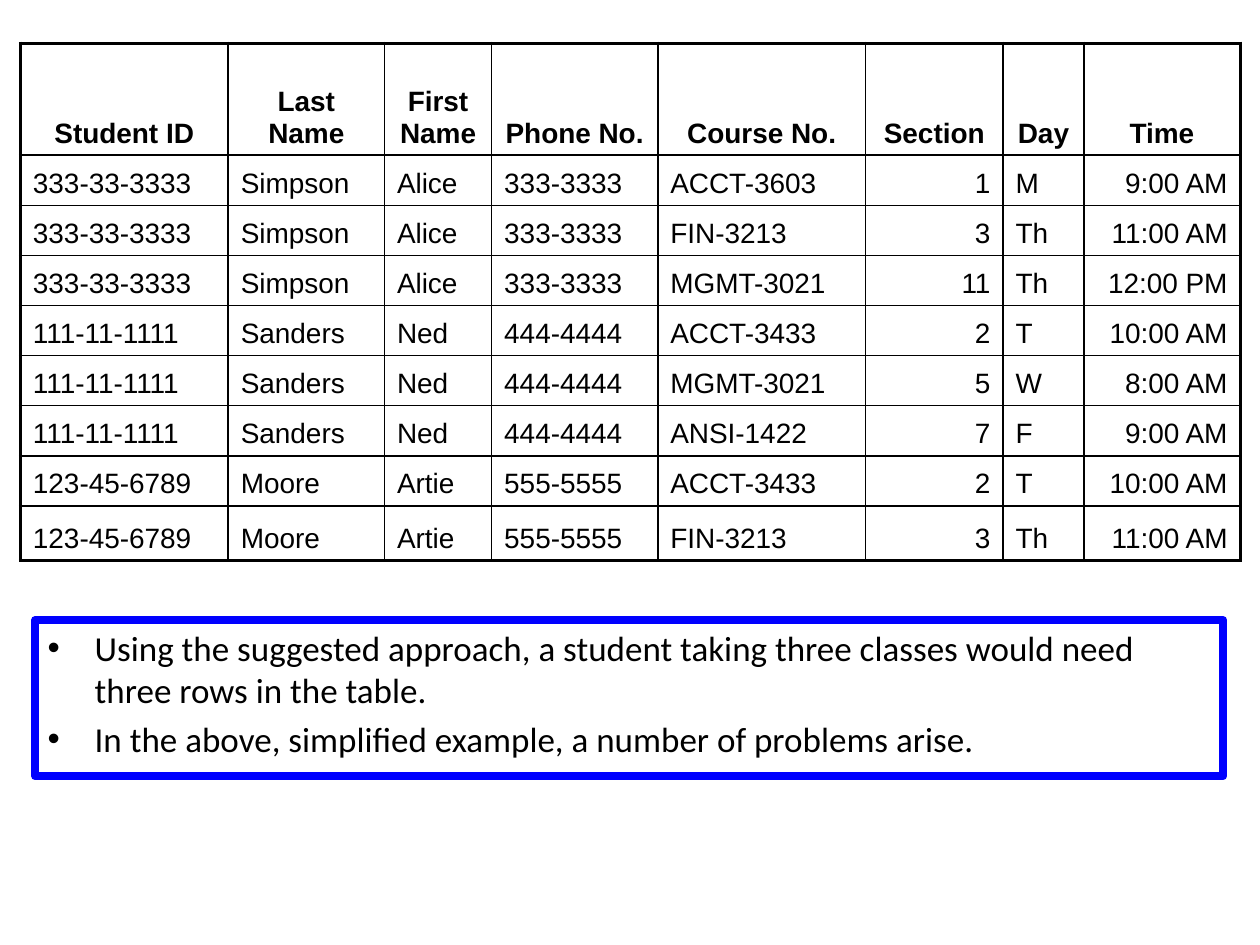
import dataclasses

import lxml.etree
import pptx
import pptx.dml.color
import pptx.enum.shapes
import pptx.enum.text
import pptx.oxml.ns
import pptx.util

Cm, Pt = pptx.util.Cm, pptx.util.Pt
ALIGN = pptx.enum.text.PP_ALIGN
qn = pptx.oxml.ns.qn


@dataclasses.dataclass(frozen=True)
class Theme:
    """Colours, fonts and sizes of the slide."""
    ink: str = "000000"
    paper: str = "FFFFFF"
    frame: str = "0000FF"
    table_font: str = "Arial"
    remark_font: str = "Calibri"
    table_size: float = 16
    remark_size: float = 20
    grid_width: float = 1
    border_width: float = 2
    frame_width: float = 4.5
    remark_gap: float = 4


THEME = Theme()
HEADINGS = ["Student ID", "Last Name", "First Name", "Phone No.",
            "Course No.", "Section", "Day", "Time"]
ENROLMENTS = {
    ("333-33-3333", "Simpson", "Alice", "333-3333"): [
        ("ACCT-3603", "1", "M", "9:00 AM"),
        ("FIN-3213", "3", "Th", "11:00 AM"),
        ("MGMT-3021", "11", "Th", "12:00 PM"),
    ],
    ("111-11-1111", "Sanders", "Ned", "444-4444"): [
        ("ACCT-3433", "2", "T", "10:00 AM"),
        ("MGMT-3021", "5", "W", "8:00 AM"),
        ("ANSI-1422", "7", "F", "9:00 AM"),
    ],
    ("123-45-6789", "Moore", "Artie", "555-5555"): [
        ("ACCT-3433", "2", "T", "10:00 AM"),
        ("FIN-3213", "3", "Th", "11:00 AM"),
    ],
}
RIGHT_ALIGNED = {"Section", "Time"}
COLUMN_WIDTHS = [4.19, 3.15, 2.16, 3.35, 4.19, 2.77, 1.63, 3.15]
HEADING_HEIGHT, ROW_HEIGHT, LAST_HEIGHT = 2.26, 1.01, 1.1
REMARKS = [
    "Using the suggested approach, a student taking three classes would need "
    "three rows in the table.",
    "In the above, simplified example, a number of problems arise.",
]


def rgb(colour):
    """Return the colour object of a hex value."""
    return pptx.dml.color.RGBColor.from_string(colour)


def format_font(font, formats):
    """Set font attributes from a dict, with ink as the colour."""
    for attribute, value in formats.items():
        setattr(font, attribute, value)
    font.color.rgb = rgb(THEME.ink)


def add_borders(cell, widths):
    """Draw the left, right, top and bottom borders of a cell."""
    properties = cell._tc.get_or_add_tcPr()
    for position, (side, width) in enumerate(widths.items()):
        border = lxml.etree.Element(qn(f"a:ln{side}"), w=str(Pt(width)))
        fill = lxml.etree.SubElement(border, qn("a:solidFill"))
        lxml.etree.SubElement(fill, qn("a:srgbClr"), val=THEME.ink)
        properties.insert(position, border)


def add_bullet(paragraph, indent):
    """Give a paragraph a hanging bullet."""
    properties = paragraph._p.get_or_add_pPr()
    properties.set("marL", str(indent))
    properties.set("indent", str(-indent))
    colour = lxml.etree.SubElement(properties, qn("a:buClr"))
    lxml.etree.SubElement(colour, qn("a:srgbClr"), val=THEME.ink)
    lxml.etree.SubElement(properties, qn("a:buFont"), typeface="Arial")
    lxml.etree.SubElement(properties, qn("a:buChar"), char="•")


def add_enrolment_table(slide, left, top):
    """Place the table with one row for each class a student takes."""
    rows = [HEADINGS] + [student + course
                         for student, courses in ENROLMENTS.items()
                         for course in courses]
    heights = [HEADING_HEIGHT] + [ROW_HEIGHT] * (len(rows) - 2) + [LAST_HEIGHT]
    table = slide.shapes.add_table(
        len(rows), len(HEADINGS), Cm(left), Cm(top),
        Cm(sum(COLUMN_WIDTHS)), Cm(sum(heights))).table
    table.horz_banding = False
    for column, width in zip(table.columns, COLUMN_WIDTHS):
        column.width = Cm(width)
    for row, height in zip(table.rows, heights):
        row.height = Cm(height)

    last_row, last_column = len(rows) - 1, len(HEADINGS) - 1
    for r, values in enumerate(rows):
        for c, (heading, value) in enumerate(zip(HEADINGS, values)):
            cell = table.cell(r, c)
            cell.text = value
            cell.vertical_anchor = pptx.enum.text.MSO_ANCHOR.BOTTOM
            cell.fill.background()
            outer = {"L": c == 0, "R": c == last_column,
                     "T": r == 0, "B": r == last_row}
            add_borders(cell, {
                side: THEME.border_width if edge else THEME.grid_width
                for side, edge in outer.items()})
            paragraph = cell.text_frame.paragraphs[0]
            body_align = ALIGN.RIGHT if heading in RIGHT_ALIGNED else ALIGN.LEFT
            paragraph.alignment = ALIGN.CENTER if r == 0 else body_align
            format_font(paragraph.runs[0].font, {
                "name": THEME.table_font, "size": Pt(THEME.table_size),
                "bold": r == 0})


def add_remarks(slide, left, top, width, height):
    """Place the framed box of bulleted remarks."""
    box = slide.shapes.add_shape(
        pptx.enum.shapes.MSO_SHAPE.RECTANGLE,
        Cm(left), Cm(top), Cm(width), Cm(height))
    box.shadow.inherit = False
    box.fill.solid()
    box.fill.fore_color.rgb = rgb(THEME.paper)
    box.line.color.rgb = rgb(THEME.frame)
    box.line.width = Pt(THEME.frame_width)
    frame = box.text_frame
    frame.word_wrap = True
    frame.vertical_anchor = pptx.enum.text.MSO_ANCHOR.TOP
    frame.text = "\n".join(REMARKS)
    for index, paragraph in enumerate(frame.paragraphs):
        add_bullet(paragraph, Cm(0.95))
        paragraph.alignment = ALIGN.LEFT
        if index:
            paragraph.space_before = Pt(THEME.remark_gap)
        format_font(paragraph.runs[0].font, {
            "name": THEME.remark_font, "size": Pt(THEME.remark_size)})


def main():
    """Build and save the slide."""
    deck = pptx.Presentation()
    deck.slide_width, deck.slide_height = Cm(25.4), Cm(19.05)
    slide = deck.slides.add_slide(deck.slide_layouts.get_by_name("Blank"))
    add_enrolment_table(slide, 0.41, 0.87)
    add_remarks(slide, 0.71, 12.5, 23.95, 3.15)
    deck.save("out.pptx")


if __name__ == "__main__":
    main()
